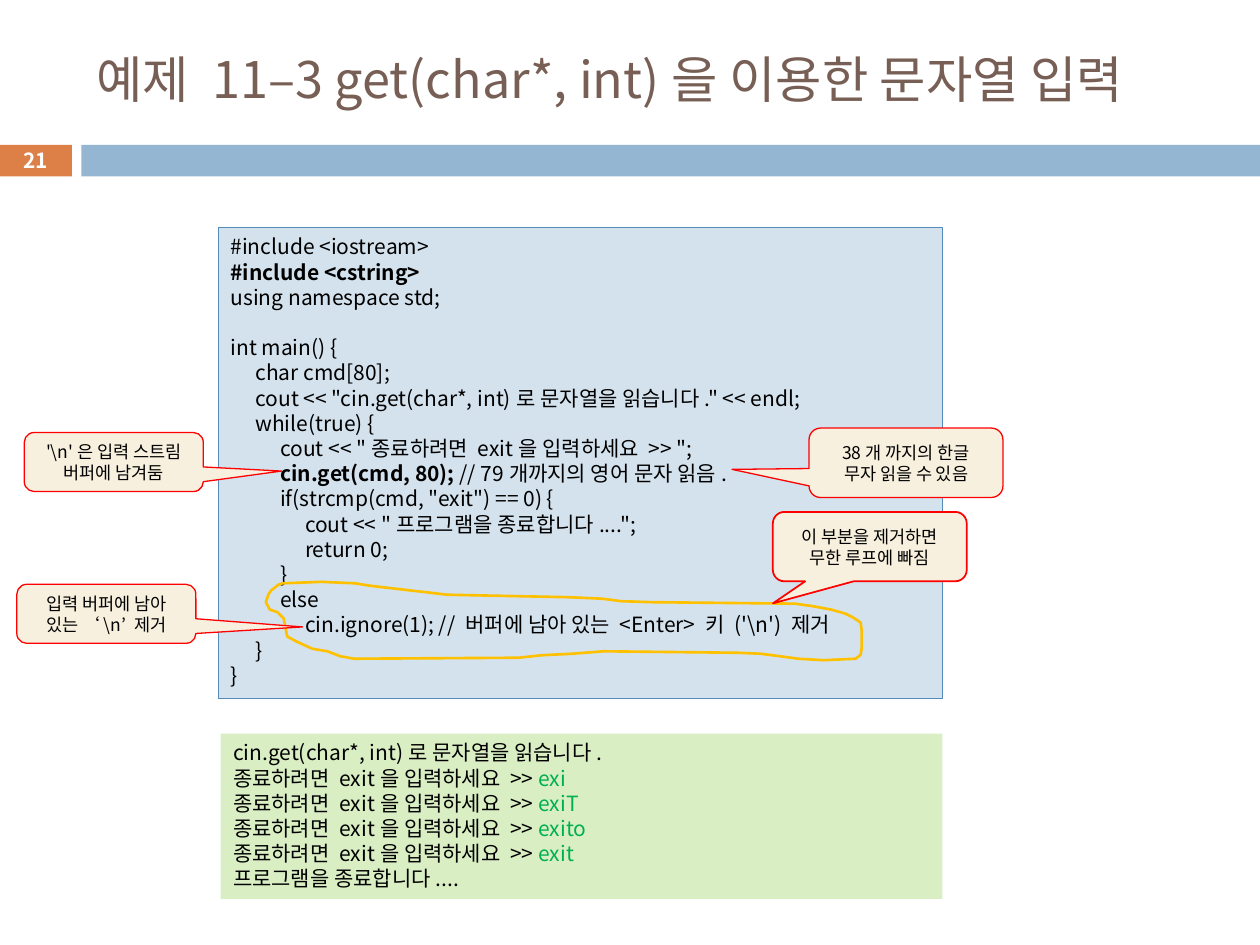
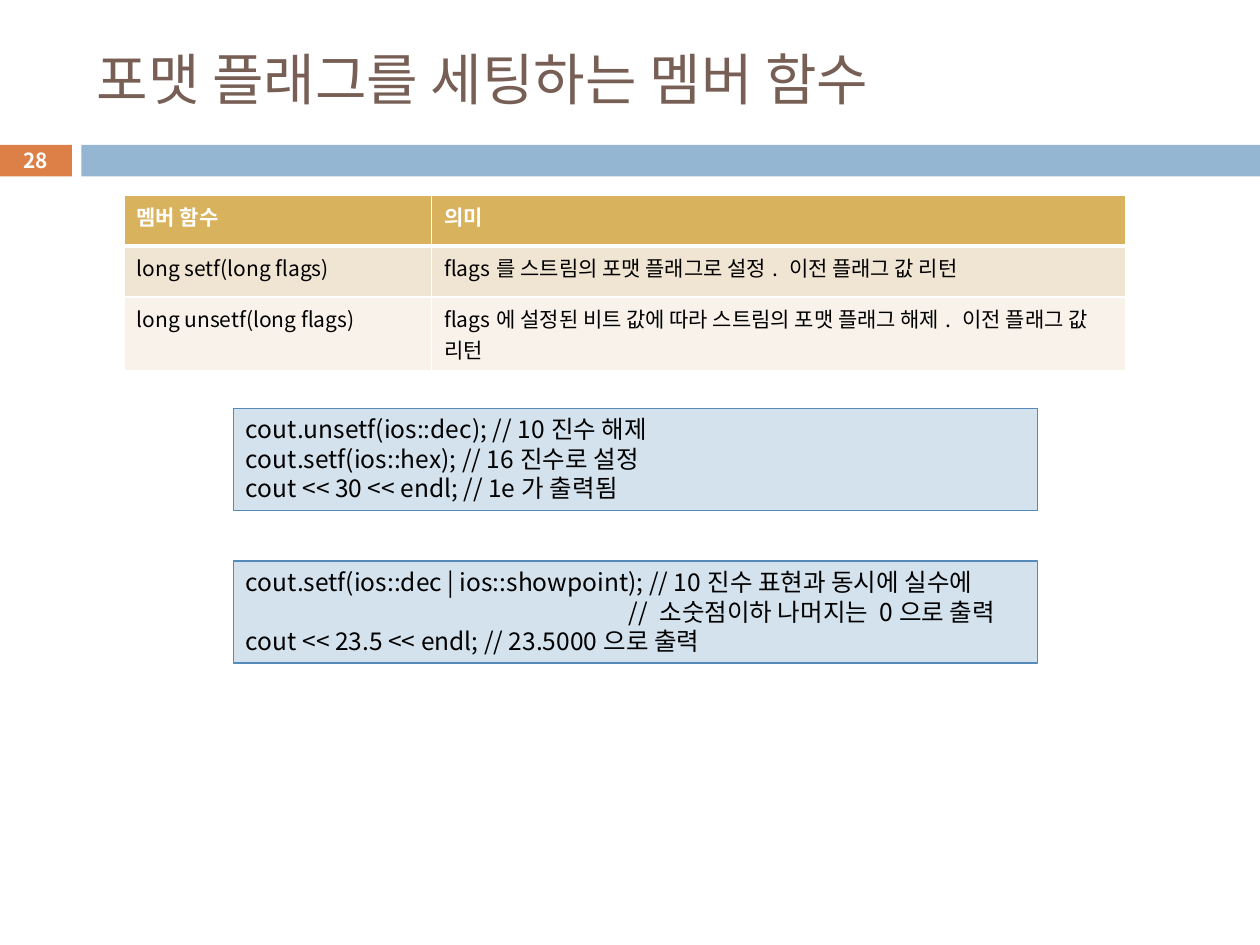
import pptx
import pptx.dml.color
import pptx.enum.shapes
import pptx.enum.text
import pptx.oxml
import pptx.oxml.ns
import pptx.util

Cm, Pt = pptx.util.Cm, pptx.util.Pt
SHAPE = pptx.enum.shapes.MSO_SHAPE
ANCHOR = pptx.enum.text.MSO_ANCHOR
ALIGN = pptx.enum.text.PP_ALIGN
qn = pptx.oxml.ns.qn

# Shared look
FONT = "Noto Sans CJK KR"
TITLE, BLACK, WHITE = "775F55", "000000", "FFFFFF"
ORANGE, BLUE = "DD8047", "94B6D2"
CODE_FILL, CODE_LINE = "D4E2ED", "558BB8"
OUTPUT_FILL, INPUT_GREEN = "DAEEC4", "00B050"
NOTE_FILL, NOTE_LINE, LOOP_LINE = "F7F0DE", "FF0000", "FFC000"
HEADER_FILL, ROW_FILLS = "D8B25C", ("F0E4D2", "F8F2EA")
STEP = 0.5  # code indent per level, cm

# Content: a line is (indent in cm, (text, bold, colour) runs)


def line(indent, *runs):
    return indent, [(r, False, BLACK) if isinstance(r, str) else r for r in runs]


def bold(text):
    return text, True, BLACK


GET_TITLE = "예제 11–3 get(char*, int)을 이용한 문자열 입력"
GET_CODE = [line(level * STEP, *runs) for level, *runs in [
    (0, "#include <iostream>"),
    (0, bold("#include <cstring>")),
    (0, "using namespace std;"),
    (0, "int main() {"),
    (1, "char cmd[80];"),
    (1, 'cout << "cin.get(char*, int)로 문자열을 읽습니다." << endl;'),
    (1, "while(true) {"),
    (2, 'cout << "종료하려면 exit을 입력하세요 >> ";'),
    (2, bold("cin.get(cmd, 80); "), "// 79개까지의 영어 문자 읽음."),
    (2, 'if(strcmp(cmd, "exit") == 0) {'),
    (3, 'cout << "프로그램을 종료합니다....";'),
    (3, "return 0;"),
    (2, "}"),
    (2, "else"),
    (3, "cin.ignore(1); // 버퍼에 남아 있는 <Enter> 키 ('\\n') 제거"),
    (1, "}"),
    (0, "}"),
]]
MAIN_LINE = 3  # set off from the lines above

PROMPT = "종료하려면 exit을 입력하세요 >> "
GET_OUTPUT = [
    line(0, "cin.get(char*, int)로 문자열을 읽습니다."),
    *[line(0, PROMPT, (typed, False, INPUT_GREEN))
      for typed in ("exi", "exiT", "exito", "exit")],
    line(0, "프로그램을 종료합니다...."),
]

# text, box in cm, tail position, line width
NOTES = [
    ("'\\n'은 입력 스트림 버퍼에 남겨둠", (0.49, 8.72, 3.61, 1.19), (0.937, 0.153), 0.75),
    ("입력 버퍼에 남아 있는 ‘\\n’ 제거", (0.34, 11.78, 3.61, 1.19), (1.096, 0.222), 0.75),
    ("이 부분을 제거하면 무한 루프에 빠짐", (15.58, 10.32, 3.91, 1.4), (-0.499, 0.817), 1),
    ("38개 까지의 한글 무자 읽을 수 있음", (16.31, 8.63, 3.91, 1.4), (-0.897, 0.095), 0.75),
]

# Hand-drawn loop round the else branch, cm
LOOP = [
    (6.48, 11.73), (5.69, 11.76), (5.61, 11.79), (5.46, 11.91), (5.41, 11.99),
    (5.36, 12.14), (5.44, 12.29), (5.59, 12.34), (5.72, 12.47), (5.79, 12.83),
    (5.97, 12.93), (6.3, 13.08), (6.6, 13.13), (6.86, 13.23), (7.14, 13.28),
    (10.46, 13.26), (10.92, 13.21), (11.53, 13.18), (12.17, 13.13),
    (14.88, 13.16), (15.34, 13.18), (15.72, 13.23), (16.1, 13.28),
    (16.6, 13.31), (17.25, 13.28), (17.35, 13.2), (17.37, 13.08),
    (17.37, 12.7), (17.35, 12.55), (17.2, 12.45), (17.04, 12.37),
    (16.76, 12.29), (16.38, 12.22), (16.03, 12.17), (13.13, 12.14),
    (12.52, 12.12), (12.14, 12.07), (11.46, 12.04), (9.02, 11.99),
    (8.33, 11.91), (7.9, 11.86), (7.47, 11.81), (7.16, 11.76),
]

FLAG_TITLE = "포맷 플래그를 세팅하는 멤버 함수"
FLAG_TABLE = [
    ("멤버 함수", "의미"),
    ("long setf(long flags)", "flags를 스트림의 포맷 플래그로 설정. 이전 플래그 값 리턴"),
    ("long unsetf(long flags)",
     "flags에 설정된 비트 값에 따라 스트림의 포맷 플래그 해제. 이전 플래그 값 리턴"),
]
COLUMNS, ROWS = (6.2, 13.99), (1.03, 1.03, 1.48)
FLAG_CODE = [
    [line(0, "cout.unsetf(ios::dec); // 10진수 해제"),
     line(0, "cout.setf(ios::hex); // 16진수로 설정"),
     line(0, "cout << 30 << endl; // 1e가 출력됨")],
    [line(0, "cout.setf(ios::dec | ios::showpoint); // 10진수 표현과 동시에 실수에"),
     line(7.72, "// 소숫점이하 나머지는 0으로 출력"),
     line(0, "cout << 23.5 << endl; // 23.5000으로 출력")],
]


def rgb(hex_colour):
    return pptx.dml.color.RGBColor.from_string(hex_colour)


def write(tf, lines, size, align=ALIGN.LEFT):
    for i, (indent, runs) in enumerate(lines):
        p = tf.add_paragraph() if i else tf.paragraphs[0]
        p.alignment = align
        if indent:
            p._p.get_or_add_pPr().set("marL", str(Cm(indent)))
        for text, is_bold, colour in runs:
            r = p.add_run()
            r.text = text
            r.font.size, r.font.bold, r.font.name = Pt(size), is_bold, FONT
            r.font.color.rgb = rgb(colour)
            ea = pptx.oxml.parse_xml(f'<a:ea {pptx.oxml.ns.nsdecls("a")} typeface="{FONT}"/>')
            r.font._element.find(qn("a:latin")).addnext(ea)


def style(sp, fill=None, outline=None, width=0.75):
    sp.shadow.inherit = False
    if fill:
        sp.fill.solid()
        sp.fill.fore_color.rgb = rgb(fill)
    else:
        sp.fill.background()
    if outline:
        sp.line.color.rgb, sp.line.width = rgb(outline), Pt(width)
    else:
        sp.line.fill.background()


def add_box(s, box, fill, outline=None, kind=SHAPE.RECTANGLE, width=0.75):
    sp = s.shapes.add_shape(kind, *map(Cm, box))
    style(sp, fill, outline, width)
    sp.text_frame.word_wrap = True
    sp.text_frame.vertical_anchor = ANCHOR.TOP
    return sp


def add_label(s, box, text, size, colour, is_bold=False, align=ALIGN.LEFT):
    tf = s.shapes.add_textbox(*map(Cm, box)).text_frame
    tf.word_wrap, tf.vertical_anchor = True, ANCHOR.MIDDLE
    write(tf, [(0, [(text, is_bold, colour)])], size, align)
    return tf


def add_base(prs, title, size, number):
    s = prs.slides.add_slide(prs.slide_layouts[6])
    add_box(s, (-0.02, 2.92, 1.47, 0.64), ORANGE)
    add_box(s, (1.64, 2.92, 23.76, 0.64), BLUE)
    add_label(s, (1.7, 0.64, 22.66, 1.88), title, size, TITLE)
    tf = add_label(s, (-0.02, 2.89, 1.47, 0.69), number, 11.9, WHITE, True, ALIGN.CENTER)
    tf.margin_top = tf.margin_bottom = 0
    return s


def add_code(s, box, lines, size, fill=CODE_FILL, outline=CODE_LINE):
    tf = add_box(s, box, fill, outline).text_frame
    write(tf, lines, size)
    return tf


def add_note(s, text, box, tail, width):
    sp = add_box(s, box, NOTE_FILL, NOTE_LINE, SHAPE.ROUNDED_RECTANGULAR_CALLOUT, width)
    sp.adjustments[0], sp.adjustments[1] = tail
    sp.text_frame.vertical_anchor = ANCHOR.MIDDLE
    write(sp.text_frame, [line(0, text)], 10, ALIGN.CENTER)


def add_loop(s, points):
    start, *rest = [(Cm(x), Cm(y)) for x, y in points]
    builder = s.shapes.build_freeform(*start)
    builder.add_line_segments(rest, close=True)
    style(builder.convert_to_shape(), None, LOOP_LINE, 1.5)


def set_borders(cell, top, bottom):
    tcPr = cell._tc.get_or_add_tcPr()
    for side, width in (("L", 1), ("R", 1), ("T", top), ("B", bottom)):
        tcPr.append(pptx.oxml.parse_xml(
            f'<a:ln{side} {pptx.oxml.ns.nsdecls("a")} w="{Pt(width)}"><a:solidFill>'
            f'<a:srgbClr val="{WHITE}"/></a:solidFill></a:ln{side}>'))


def add_flag_table(s, left, top):
    table = s.shapes.add_table(len(ROWS), len(COLUMNS), Cm(left), Cm(top),
                               Cm(sum(COLUMNS)), Cm(sum(ROWS))).table
    for column, width in zip(table.columns, COLUMNS):
        column.width = Cm(width)
    for i, (row, height) in enumerate(zip(table.rows, ROWS)):
        row.height = Cm(height)
        header = i == 0
        for cell, text in zip(row.cells, FLAG_TABLE[i]):
            set_borders(cell, 3 if i == 1 else 1, 3 if header else 1)
            cell.fill.solid()
            cell.fill.fore_color.rgb = rgb(HEADER_FILL if header else ROW_FILLS[i - 1])
            write(cell.text_frame, [(0, [(text, header, WHITE if header else BLACK)])], 12)


def main():
    prs = pptx.Presentation()
    prs.slide_width, prs.slide_height = Cm(25.4), Cm(19.05)

    # String input with get()
    s = add_base(prs, GET_TITLE, 28.8, "21")
    tf = add_code(s, (4.4, 4.59, 14.6, 9.5), GET_CODE, 12)
    tf.paragraphs[MAIN_LINE].space_before = Pt(14.4)
    add_code(s, (4.45, 14.79, 14.55, 3.33), GET_OUTPUT, 12, OUTPUT_FILL, None)
    add_loop(s, LOOP)
    for note in NOTES:
        add_note(s, *note)

    # Format flag functions
    s = add_base(prs, FLAG_TITLE, 32, "28")
    add_flag_table(s, 2.5, 3.93)
    for i, lines in enumerate(FLAG_CODE):
        add_code(s, (4.71, 8.23 + i * 3.08, 16.2, 2.06), lines, 14)

    prs.save("out.pptx")


if __name__ == "__main__":
    main()
